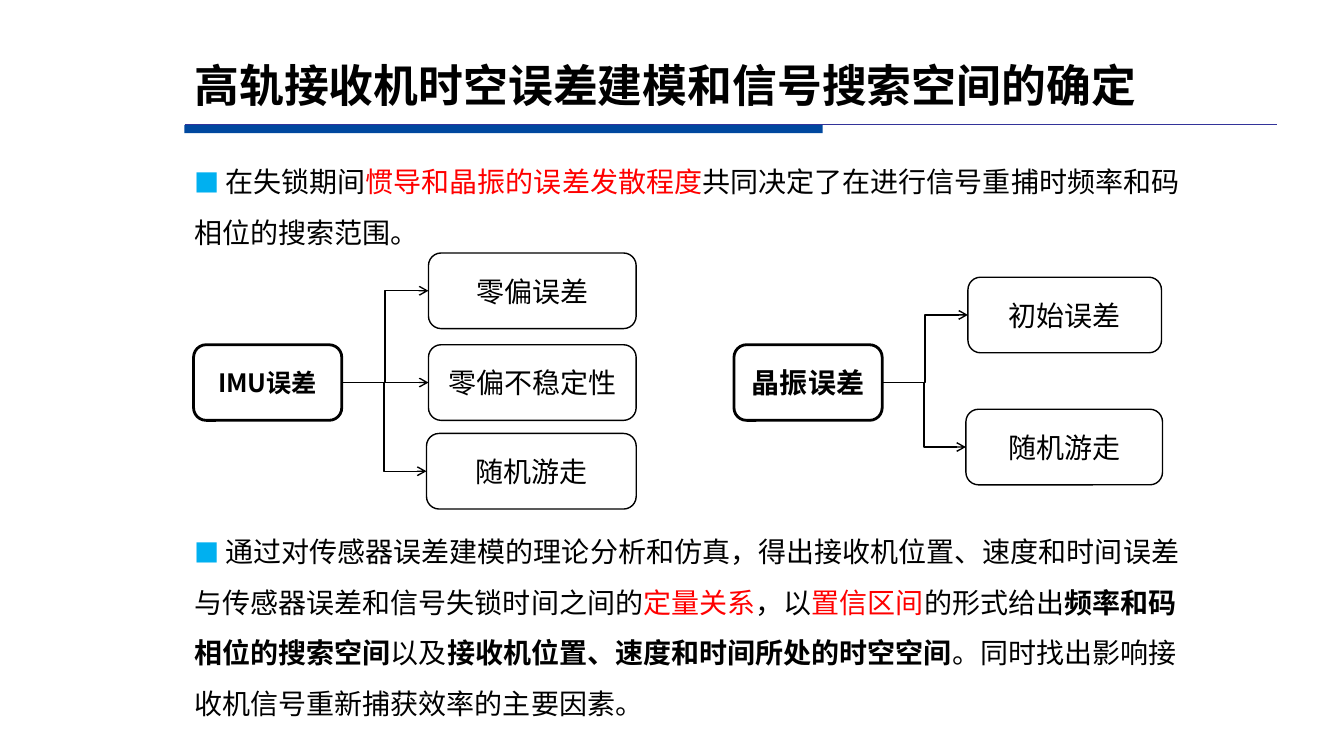
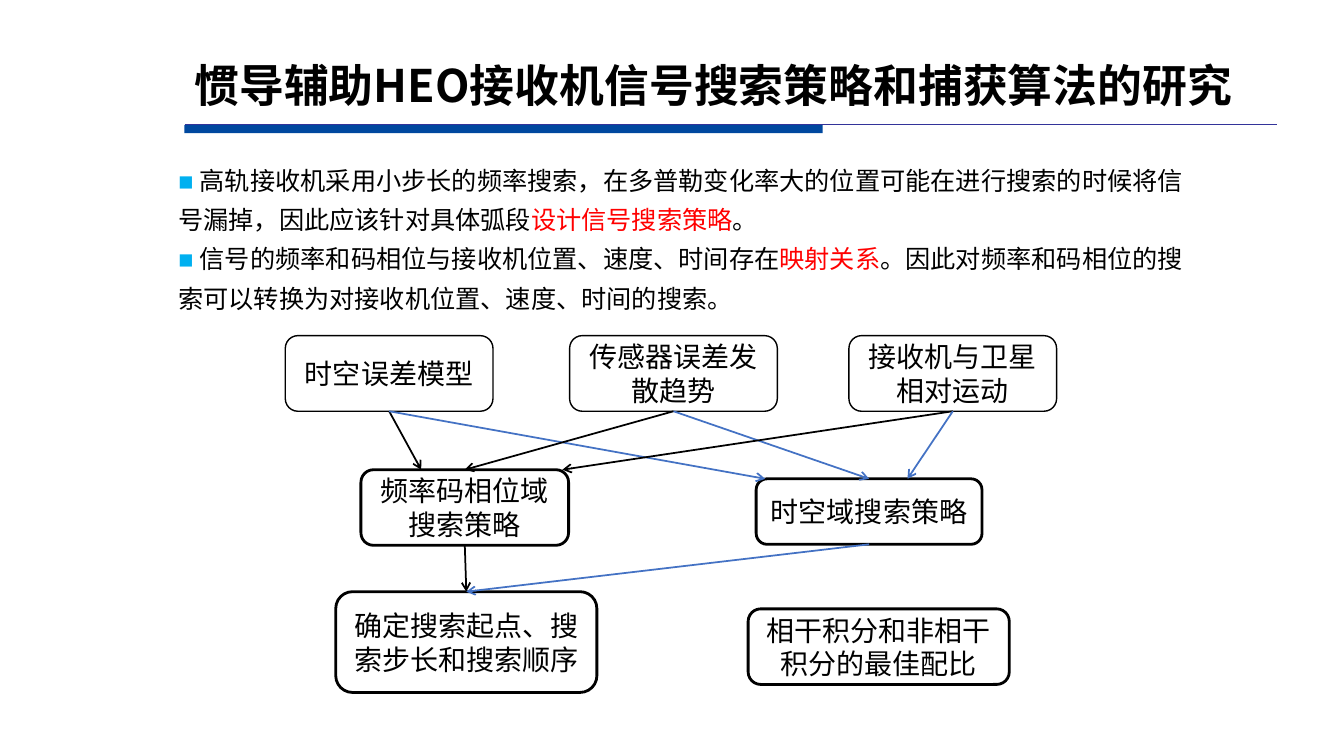
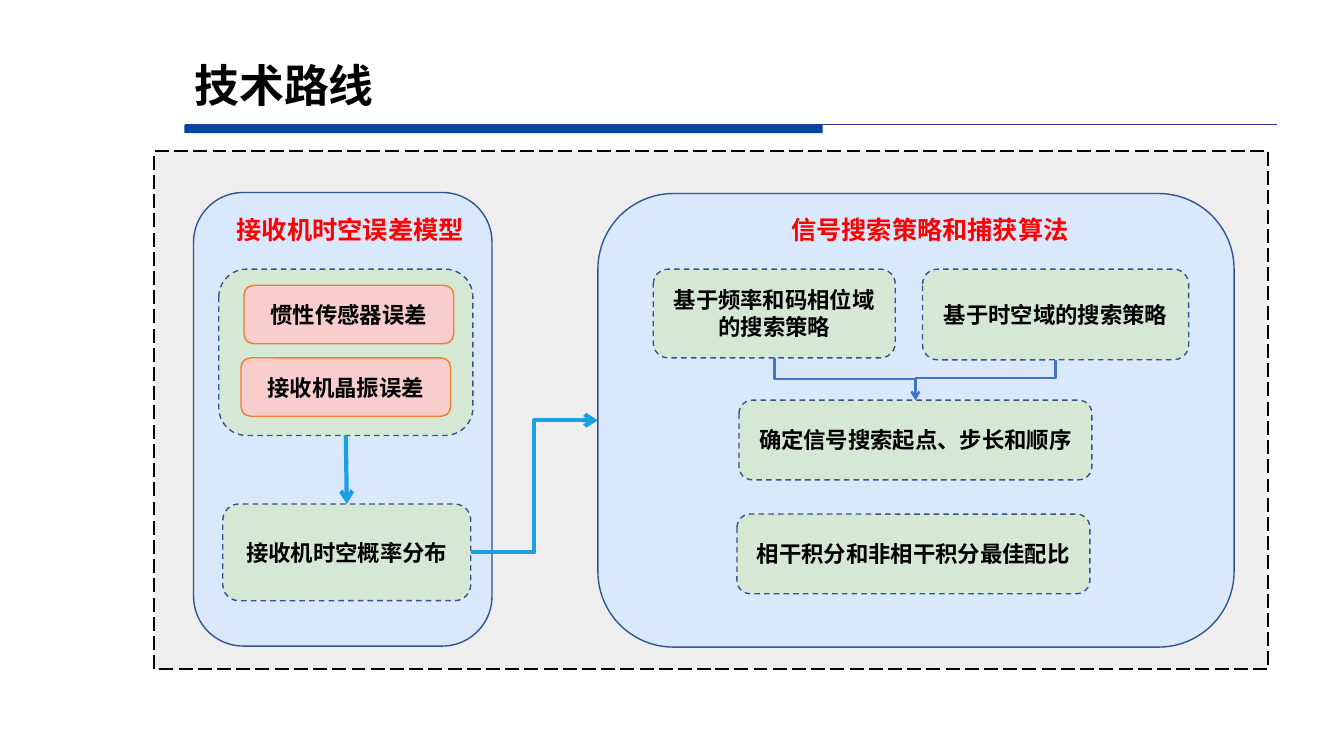
"""Build three slides on error modelling and signal search for a high-orbit receiver."""
from dataclasses import dataclass
from lxml.etree import SubElement
from pptx import Presentation
from pptx.dml.color import RGBColor
from pptx.enum.dml import MSO_LINE as Dash
from pptx.enum.shapes import MSO_CONNECTOR as Route, MSO_SHAPE as Shape
from pptx.enum.text import MSO_ANCHOR as Anchor, PP_ALIGN as Align
from pptx.oxml.ns import qn
from pptx.util import Inches, Pt

TOP, LEFT, BOTTOM, RIGHT = (0.5, 0), (0, 0.5), (0.5, 1), (1, 0.5)


@dataclass(frozen=True)
class Theme:
    font: str = "Noto Sans CJK SC"
    marker_font: str = "Times New Roman"
    ink: str = "000000"
    alert: str = "FF0000"
    marker: str = "00B0F0"
    band: str = "00489F"
    rule: str = "333399"
    flow: str = "4472C4"
    main_flow: str = "1BA1E2"
    backdrop: str = "EEEEEE"
    panel: str = "DAE8FC"
    panel_edge: str = "325491"
    step: str = "D5E8D4"
    cause: str = "F8CECC"
    cause_edge: str = "ED7D31"
    title_size: int = 32
    large: int = 20
    medium: int = 18
    small: int = 16


THEME = Theme()


@dataclass(frozen=True)
class Run:
    text: str
    color: str = THEME.ink
    bold: bool = False
    size: int = 0
    font: str = THEME.font


def alert(text):
    return Run(text, THEME.alert)


def strong(text):
    return Run(text, bold=True)


def marker(font=THEME.font):
    return Run("■ ", THEME.marker, True, THEME.medium, font)


def at(shape, spot):
    return shape.left + int(shape.width * spot[0]), shape.top + int(shape.height * spot[1])


class Deck:
    """Hold the presentation, its theme and the current slide."""

    def __init__(self):
        self.show = Presentation()
        self.show.slide_width, self.show.slide_height = Inches(13.33), Inches(7.5)
        self.slide = None

    def page(self, title):
        self.slide = self.show.slides.add_slide(self.show.slide_layouts[6])
        self.box(1.83, 1.24, 6.33, 0.08, fill=THEME.band, shape=Shape.RECTANGLE)
        ends = [Inches(v) for v in (1.83, 1.24, 12.67, 1.24)]
        rule = self.slide.shapes.add_connector(Route.STRAIGHT, *ends)
        self.stroke(rule, THEME.rule, 0.75)
        self.text(1.83, 0.5, 10.75, 0.75, [[strong(title)]], THEME.title_size, 0.9, Anchor.MIDDLE)

    def add_runs(self, frame, paragraphs, size, spacing=None, align=None):
        frame.word_wrap = True
        for i, runs in enumerate(paragraphs):
            paragraph = frame.paragraphs[0] if i == 0 else frame.add_paragraph()
            paragraph.alignment, paragraph.line_spacing = align, spacing
            for item in runs:
                piece = paragraph.add_run()
                piece.text = item.text
                font = piece.font
                font.size, font.bold, font.name = Pt(item.size or size), item.bold, item.font
                font.color.rgb = RGBColor.from_string(item.color)
                SubElement(font._element, qn("a:ea")).set("typeface", item.font)

    def text(self, x, y, w, h, paragraphs, size, spacing=None, anchor=Anchor.TOP):
        frame = self.slide.shapes.add_textbox(*map(Inches, (x, y, w, h))).text_frame
        frame.vertical_anchor = anchor
        self.add_runs(frame, paragraphs, size, spacing)

    def box(self, x, y, w, h, lines=(), size=THEME.large, bold=False, fill=None, edge=None,
            weight=1, dash=None, shape=Shape.FLOWCHART_ALTERNATE_PROCESS):
        box = self.slide.shapes.add_shape(shape, *map(Inches, (x, y, w, h)))
        box.shadow.inherit = False
        if fill:
            box.fill.solid()
            box.fill.fore_color.rgb = RGBColor.from_string(fill)
        else:
            box.fill.background()
        if edge:
            box.line.color.rgb = RGBColor.from_string(edge)
            box.line.width, box.line.dash_style = Pt(weight), dash
        else:
            box.line.fill.background()
        box.text_frame.vertical_anchor = Anchor.MIDDLE
        self.add_runs(box.text_frame, [[Run(line, bold=bold)] for line in lines], size, align=Align.CENTER)
        return box

    def node(self, x, y, w, h, *lines, weight=1, **look):
        return self.box(x, y, w, h, lines, edge=THEME.ink, weight=weight, **look)

    def panel(self, x, y, w, h):
        self.box(x, y, w, h, fill=THEME.panel, edge=THEME.panel_edge)

    def step(self, x, y, w, h, *lines):
        return self.box(x, y, w, h, lines, THEME.small, True, THEME.step, THEME.panel_edge,
                        dash=Dash.DASH, shape=Shape.ROUNDED_RECTANGLE)

    def cause(self, x, y, label):
        self.box(x, y, 2.08, 0.58, [label], THEME.small, True, THEME.cause, THEME.cause_edge,
                 shape=Shape.ROUNDED_RECTANGLE)

    def stroke(self, line, color, weight, arrow=False):
        line.line.color.rgb = RGBColor.from_string(color)
        line.line.width = Pt(weight)
        if arrow:
            SubElement(line.line._get_or_add_ln(), qn("a:tailEnd")).set("type", "arrow")
        SubElement(line._element.spPr, qn("a:effectLst"))

    def flow(self, start, end, color=THEME.ink, weight=1.0, route=Route.STRAIGHT):
        line = self.slide.shapes.add_connector(route, *start, *end)
        self.stroke(line, color, weight, True)

    def drop(self, start, end, color, weight, preset="bentConnector3", arrow=True):
        (x1, y1), (x2, y2) = start, end
        cx, cy, dx, dy = (x1 + x2) // 2, (y1 + y2) // 2, (x2 - x1) // 2, (y2 - y1) // 2
        line = self.slide.shapes.add_connector(Route.ELBOW, cx - dy, cy + dx, cx + dy, cy - dx)
        line._element.spPr.find(qn("a:xfrm")).set("rot", "5400000")
        line._element.spPr.find(qn("a:prstGeom")).set("prst", preset)
        self.stroke(line, color, weight, arrow)


def error_modelling(deck):
    deck.page("高轨接收机时空误差建模和信号搜索空间的确定")
    deck.text(1.83, 1.42, 10.15, 1.1, [[
        marker(), Run("在失锁期间"), alert("惯导和晶振的误差发散程度"),
        Run("共同决定了在进行信号重捕时频率和码相位的搜索范围。"),
    ]], THEME.large, 1.5)
    trees = (
        (1.92, "IMU误差", THEME.medium, (
            (4.25, 2.51, 2.06, "零偏误差"),
            (4.25, 3.42, 2.06, "零偏不稳定性"),
            (4.23, 4.3, 2.08, "随机游走"))),
        (7.28, "晶振误差", THEME.large, (
            (9.6, 2.75, 1.92, "初始误差"),
            (9.58, 4.06, 1.95, "随机游走"))),
    )
    for x, cause, size, parts in trees:
        root = deck.node(x, 3.42, 1.47, 0.75, cause, weight=2, size=size, bold=True)
        for left, top, width, label in parts:
            part = deck.node(left, top, width, 0.75, label)
            route = Route.STRAIGHT if part.top == root.top else Route.ELBOW
            deck.flow(at(root, RIGHT), at(part, LEFT), route=route)
    deck.text(1.83, 5.09, 10.15, 2.19, [[
        marker(),
        Run("通过对传感器误差建模的理论分析和仿真，得出接收机位置、速度和时间误差与传感器误差和信号失锁时间之间的"),
        alert("定量关系"), Run("，以"), alert("置信区间"), Run("的形式给出"),
        strong("频率和码相位的搜索空间"), Run("以及"),
        strong("接收机位置、速度和时间所处的时空空间"),
        Run("。同时找出影响接收机信号重新捕获效率的主要因素。"),
    ]], THEME.large, 1.5)


def search_strategy(deck):
    deck.page("惯导辅助HEO接收机信号搜索策略和捕获算法的研究")
    deck.text(1.67, 1.5, 10.3, 1.91, [
        [marker(THEME.marker_font),
         Run("高轨接收机采用小步长的频率搜索，在多普勒变化率大的位置可能在进行搜索的时候将信号漏掉，因此应该针对具体弧段"),
         alert("设计信号搜索策略"), Run("。")],
        [marker(THEME.marker_font), Run("信号的频率和码相位与接收机位置、速度、时间存在"),
         alert("映射关系"),
         Run("。因此对频率和码相位的搜索可以转换为对接收机位置、速度、时间的搜索。")],
    ], THEME.medium, 1.3)
    frequency = deck.node(3.58, 4.66, 2.06, 0.75, "频率码相位域", "搜索策略", weight=2)
    spacetime = deck.node(7.5, 4.75, 2.24, 0.65, "时空域搜索策略", weight=2)
    order = deck.node(3.33, 5.87, 2.59, 1, "确定搜索起点、搜索步长和搜索顺序", weight=2)
    deck.node(7.42, 6.04, 2.59, 0.75, "相干积分和非相干积分的最佳配比", weight=2)
    inputs = (
        (2.83, "时空误差模型", 0.29, 0.04),
        (5.65, "传感器误差发散趋势", 0.5, 0.5),
        (8.42, "接收机与卫星相对运动", 0.97, 0.67),
    )
    for x, label, frequency_spot, spacetime_spot in inputs:
        factor = deck.node(x, 3.33, 2.06, 0.75, label)
        deck.flow(at(factor, BOTTOM), at(frequency, (frequency_spot, 0)), weight=1.25)
        deck.flow(at(factor, BOTTOM), at(spacetime, (spacetime_spot, 0)), THEME.flow, 1.25)
    for strategy, color in ((frequency, THEME.ink), (spacetime, THEME.flow)):
        deck.flow(at(strategy, BOTTOM), at(order, TOP), color, 1.25)


def technical_route(deck):
    deck.page("技术路线")
    deck.node(1.53, 1.5, 11.05, 5.14, weight=1.25, fill=THEME.backdrop,
              dash=Dash.LONG_DASH, shape=Shape.RECTANGLE)
    panels = (
        (1.92, 1.91, 2.96, 2.25, 2.81, "接收机时空误差模型"),
        (5.93, 1.92, 6.31, 7.75, 3.17, "信号搜索策略和捕获算法"),
    )
    for x, y, width, heading_x, heading_width, heading in panels:
        deck.panel(x, y, width, 4.5)
        deck.text(heading_x, 2.08, heading_width, 0.4,
                  [[Run(heading, THEME.alert, True)]], THEME.medium)
    errors = deck.step(2.17, 2.67, 2.52, 1.65)
    deck.cause(2.42, 2.83, "惯性传感器误差")
    deck.cause(2.39, 3.55, "接收机晶振误差")
    distribution = deck.step(2.21, 5, 2.46, 0.96, "接收机时空概率分布")
    frequency = deck.step(6.48, 2.67, 2.4, 0.88, "基于频率和码相位域的搜索策略")
    spacetime = deck.step(9.15, 2.67, 2.64, 0.9, "基于时空域的搜索策略")
    order = deck.step(7.33, 3.97, 3.5, 0.79, "确定信号搜索起点、步长和顺序")
    deck.step(7.31, 5.1, 3.5, 0.79, "相干积分和非相干积分最佳配比")
    deck.flow(at(errors, BOTTOM), at(distribution, TOP), THEME.main_flow, 3)
    deck.flow(at(distribution, RIGHT), (Inches(5.93), Inches(4.17)), THEME.main_flow, 3, Route.ELBOW)
    deck.drop(at(frequency, BOTTOM), at(order, TOP), THEME.flow, 1.75)
    junction = (at(order, TOP)[0], Inches(3.75))
    deck.drop(at(spacetime, BOTTOM), junction, THEME.flow, 1.75, "bentConnector2", False)


def main():
    deck = Deck()
    error_modelling(deck)
    search_strategy(deck)
    technical_route(deck)
    deck.show.save("out.pptx")


if __name__ == "__main__":
    main()
